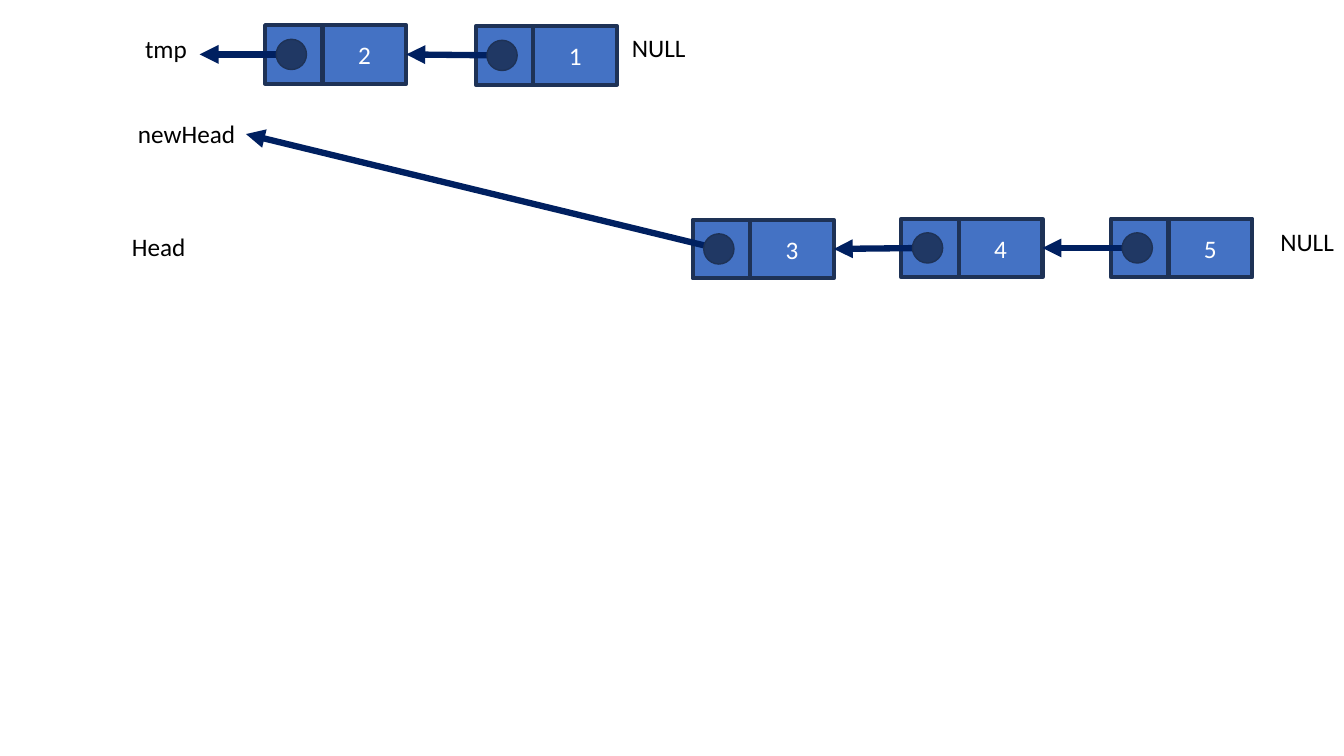
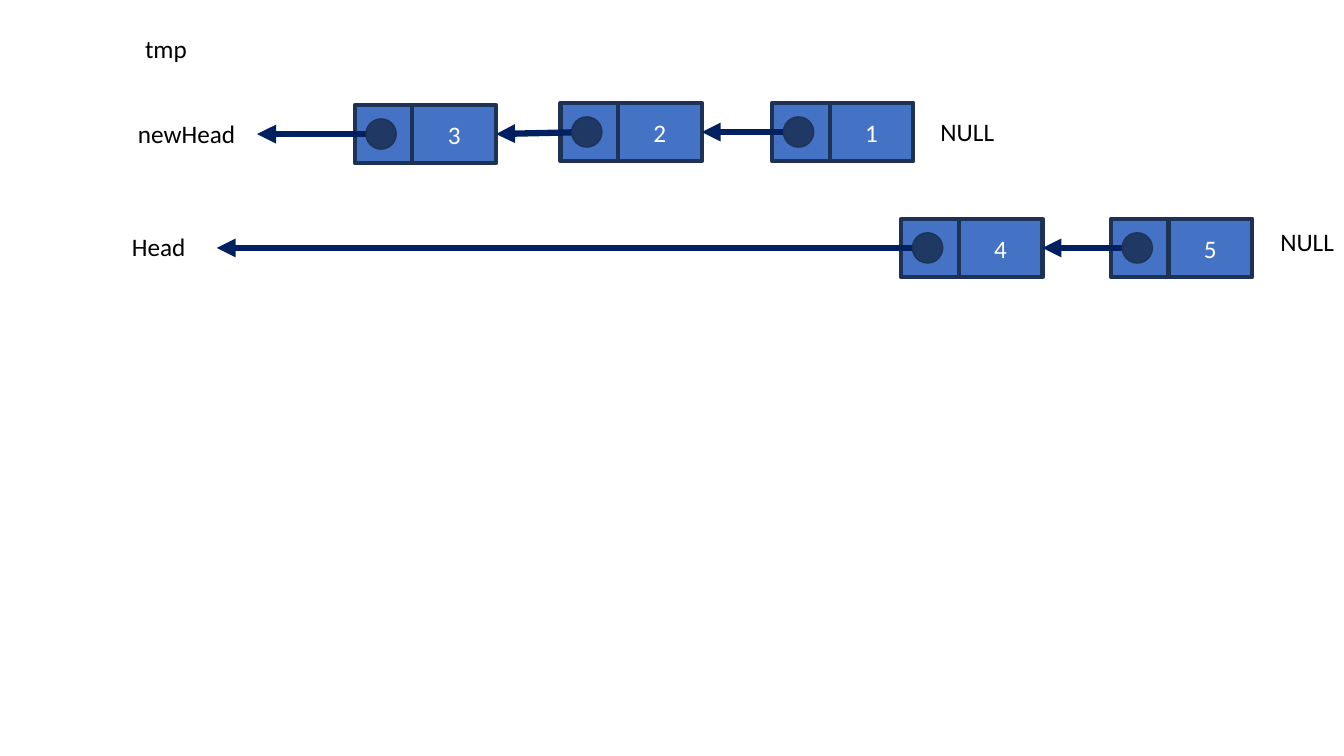
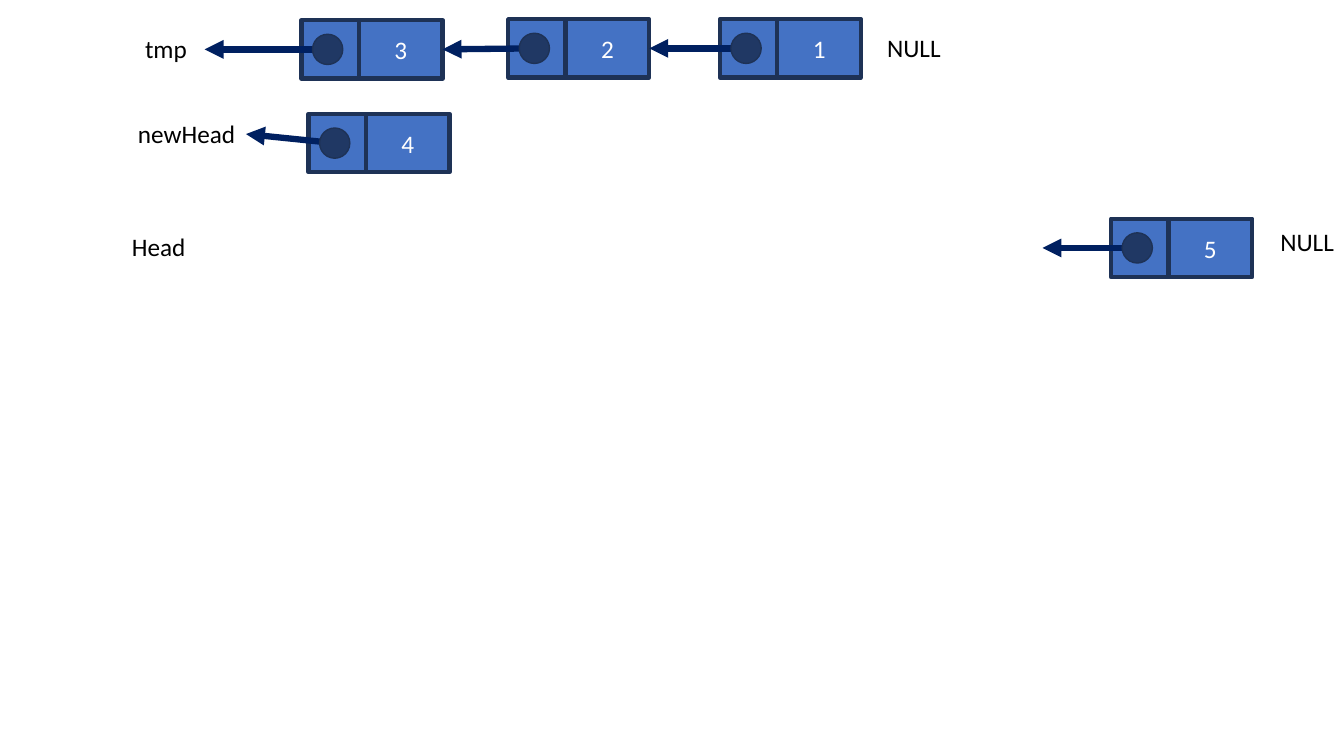
from dataclasses import dataclass

from lxml import etree
from pptx import Presentation
from pptx import util as u
from pptx.dml.color import RGBColor
from pptx.enum import shapes, text
from pptx.oxml.ns import qn

SCALE = 9144  # EMU per px, 100 px to the inch
SLIDE_W, SLIDE_H = 1333, 750
COLORS = {
    "cell": "4472C4",
    "edge": "1E3256",
    "dot": "203864",
    "arrow": "002060",
    "label": "000000",
    "value": "FFFFFF",
}
FONT, FONT_SIZE = "Calibri", 18
LINK_W, VALUE_W, NODE_H = 57, 83, 58
DOT_X, DOT_SIZE = 26, 30  # dot centre from the node's left, dot diameter
LABEL_H, NULL_W = 40, 73
RECT, OVAL = shapes.MSO_SHAPE.RECTANGLE, shapes.MSO_SHAPE.OVAL


@dataclass(frozen=True)
class Label:
    text: str
    x: int
    y: int
    w: int


@dataclass(frozen=True)
class Node:
    """A list node; without a tip its arrow points to the node on its left."""
    value: str
    x: int
    y: int
    tip: tuple[int, int] | None = None


@dataclass(frozen=True)
class Step:
    chains: list[list[Node]]
    nulls: list[Label]


def null(x: int, y: int) -> Label:
    return Label("NULL", x, y, NULL_W)


ROW_LABELS = [
    Label("Head", 121, 225, 80),
    Label("newHead", 127, 112, 118),
    Label("tmp", 134, 28, 62),
]
HEAD_NULL = null(1260, 220)
NEW_HEAD_TIP = (244, 133)
FOUR, FIVE = Node("4", 894, 217), Node("5", 1102, 217)

STEPS = [
    Step(
        [
            [Node("2", 263, 25, (198, 54)), Node("1", 472, 26)],
            [Node("3", 687, 218, NEW_HEAD_TIP), FOUR, FIVE],
        ],
        [null(617, 27), HEAD_NULL],
    ),
    Step(
        [
            [Node("3", 352, 104, (255, 133)), Node("2", 556, 102), Node("1", 766, 102)],
            [Node("4", FOUR.x, FOUR.y, (215, 246)), FIVE],
        ],
        [null(923, 110), HEAD_NULL],
    ),
    Step(
        [
            [Node("3", 299, 20, (203, 49)), Node("2", 504, 19), Node("1", 714, 19)],
            [Node("4", 306, 113, NEW_HEAD_TIP)],
            [Node("5", FIVE.x, FIVE.y, (1034, 246))],
        ],
        [null(870, 27), HEAD_NULL],
    ),
]


def px(*lengths: int) -> list[u.Emu]:
    return [u.Emu(n * SCALE) for n in lengths]


def rgb(name: str) -> RGBColor:
    return RGBColor.from_string(COLORS[name])


def set_text(tf, content: str, color: str) -> None:
    tf.text = content
    font = tf.paragraphs[0].runs[0].font
    font.name, font.size = FONT, u.Pt(FONT_SIZE)
    font.color.rgb = rgb(color)


def add_label(s, label: Label) -> None:
    tf = s.shapes.add_textbox(*px(label.x, label.y, label.w, LABEL_H)).text_frame
    tf.word_wrap = False
    tf.auto_size = text.MSO_AUTO_SIZE.SHAPE_TO_FIT_TEXT
    set_text(tf, label.text, "label")


def add_filled(group, kind, box: tuple[int, int, int, int], fill: str, line_pt: int):
    sp = group.shapes.add_shape(kind, *px(*box))
    sp.shadow.inherit = False
    sp.fill.solid()
    sp.fill.fore_color.rgb = rgb(fill)
    sp.line.color.rgb = rgb("edge")
    sp.line.width = u.Pt(line_pt)
    return sp


def add_arrow(group, start: tuple[int, int], tip: tuple[int, int]):
    cxn = group.shapes.add_connector(shapes.MSO_CONNECTOR.STRAIGHT, *px(*start, *tip))
    cxn.line.color.rgb = rgb("arrow")
    cxn.line.width = u.Pt(4.5)
    sp_pr = cxn.element.spPr
    etree.SubElement(sp_pr.find(qn("a:ln")), qn("a:tailEnd"), type="triangle")
    etree.SubElement(sp_pr, qn("a:effectLst"))
    return cxn


def add_node(s, node: Node, left: Node | None, left_cell):
    """Draw the node as one group and return its value cell."""
    group = s.shapes.add_group_shape()
    add_filled(group, RECT, (node.x, node.y, LINK_W, NODE_H), "cell", 3)
    cell = add_filled(
        group, RECT, (node.x + LINK_W, node.y, VALUE_W, NODE_H), "cell", 3)
    set_text(cell.text_frame, node.value, "value")
    cell.text_frame.vertical_anchor = text.MSO_ANCHOR.MIDDLE
    cell.text_frame.paragraphs[0].alignment = text.PP_ALIGN.CENTER

    cx, cy = node.x + DOT_X, node.y + NODE_H // 2
    if node.tip:
        add_arrow(group, (cx, cy), node.tip)
    else:
        tip = (left.x + LINK_W + VALUE_W, left.y + NODE_H // 2)
        add_arrow(group, (cx, cy), tip).end_connect(left_cell, 3)
    r = DOT_SIZE // 2
    add_filled(group, OVAL, (cx - r, cy - r, DOT_SIZE, DOT_SIZE), "dot", 1)
    return cell


def add_chain(s, chain: list[Node]) -> None:
    left, left_cell = None, None
    for node in chain:
        left_cell = add_node(s, node, left, left_cell)
        left = node


def main() -> None:
    prs = Presentation()
    prs.slide_width, prs.slide_height = px(SLIDE_W, SLIDE_H)
    for step in STEPS:
        s = prs.slides.add_slide(prs.slide_layouts[6])
        for chain in step.chains:
            add_chain(s, chain)
        for label in ROW_LABELS + step.nulls:
            add_label(s, label)
    prs.save("out.pptx")


if __name__ == "__main__":
    main()
